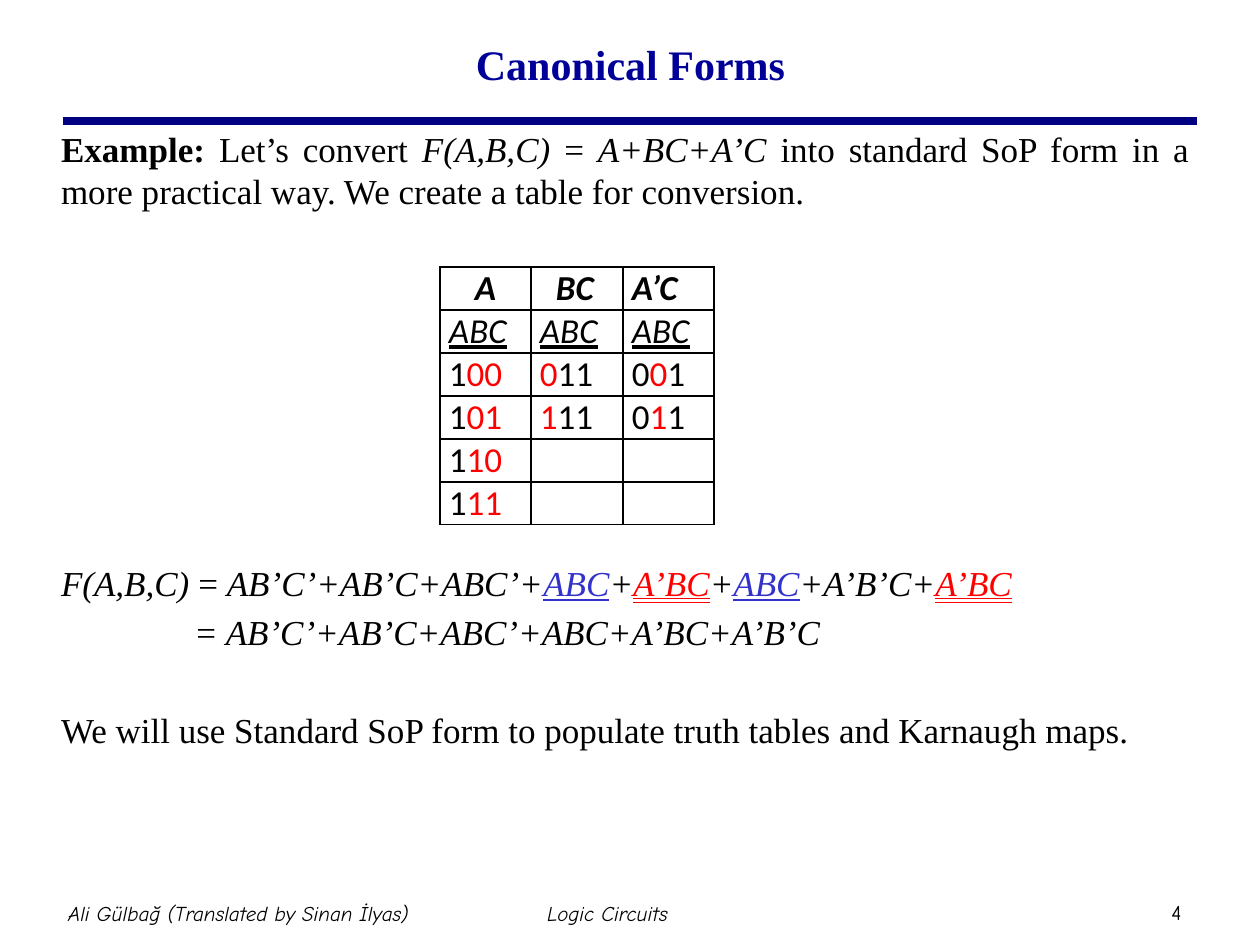
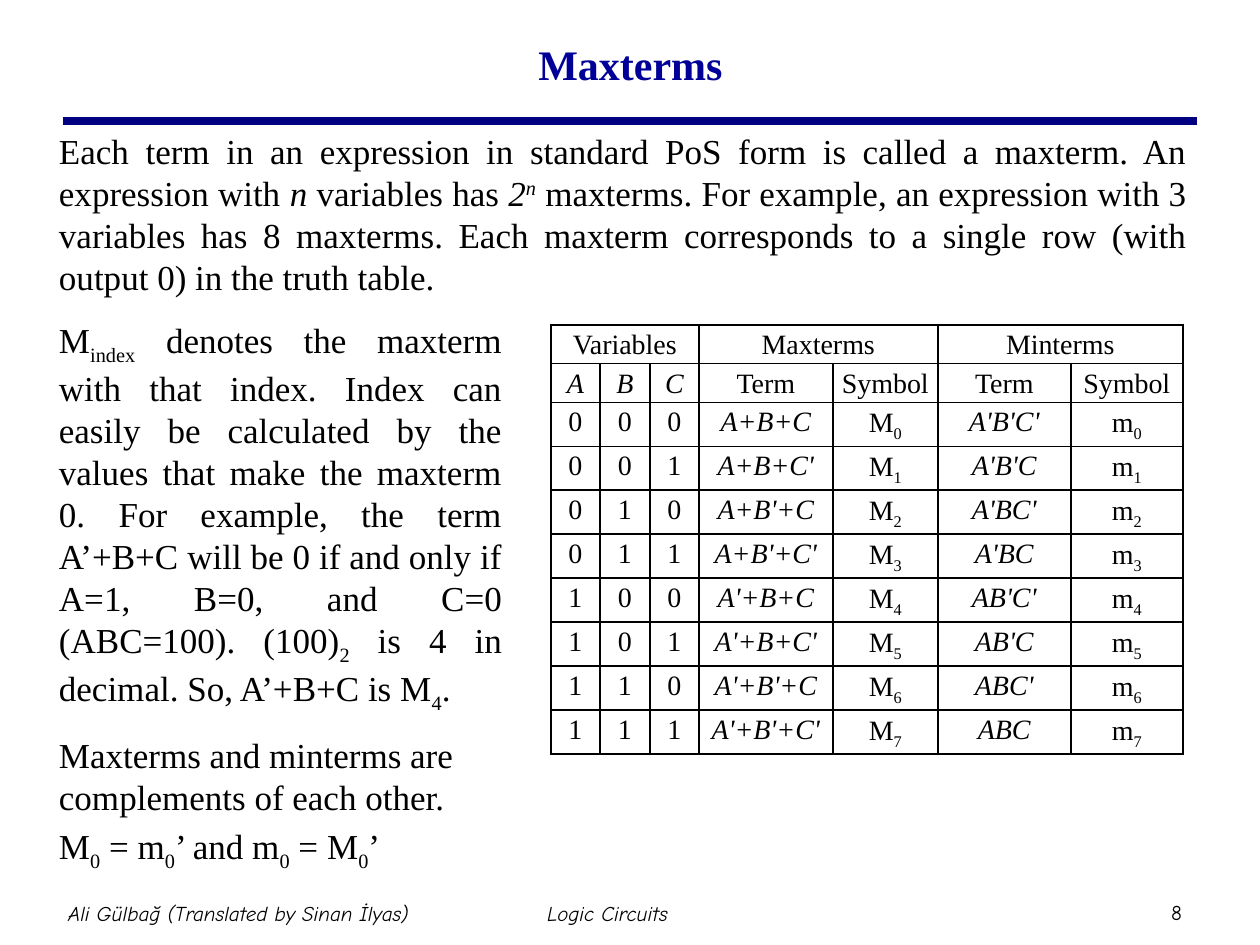
"""Builds two logic circuits slides: a conversion example and the maxterm table."""
from lxml import etree
from pptx import Presentation
from pptx.dml.color import RGBColor
from pptx.enum.shapes import MSO_CONNECTOR
from pptx.enum.text import MSO_ANCHOR, MSO_UNDERLINE, PP_ALIGN
from pptx.oxml.ns import qn
from pptx.util import Pt

EMU_PER_PX = 914400 / 126
LEFT, CENTER, JUSTIFY = PP_ALIGN.LEFT, PP_ALIGN.CENTER, PP_ALIGN.JUSTIFY
MIDDLE, TOP = MSO_ANCHOR.MIDDLE, MSO_ANCHOR.TOP
DOUBLE = MSO_UNDERLINE.DOUBLE_LINE
STRAIGHT = MSO_CONNECTOR.STRAIGHT
COLORS = {"text": "000000", "title": "000099", "rule": "000080",
          "single": "3333CC", "double": "FF0000"}
SERIF, SANS, FOOTER = "Times New Roman", "Calibri", "Comic Neue"
BORDERS = ("a:lnL", "a:lnR", "a:lnT", "a:lnB")


def px(length):
    """Turn pixels into EMU."""
    return round(length * EMU_PER_PX)


def rgb(name):
    """Look up a named colour."""
    return RGBColor.from_string(COLORS[name])


def write(para, spans, font=SERIF, size=20, align=LEFT, before=0, indent=0):
    """Fill a paragraph with (text, style) spans; style words set the format."""
    para.alignment = align
    para.space_before = Pt(before)
    if indent:
        para._p.get_or_add_pPr().set("marL", str(px(indent)))
    for text, style in spans:
        words = style.split()
        span = para.add_run()
        span.text = text
        span.font.name, span.font.size = font, Pt(size)
        span.font.bold, span.font.italic = "bold" in words, "italic" in words
        span.font.underline = DOUBLE if "twice" in words else "under" in words
        color = next((word for word in words if word in COLORS), "text")
        span.font.color.rgb = rgb(color)
        for word, shift in (("sub", "-25000"), ("super", "30000")):
            if word in words:
                span._r.get_or_add_rPr().set("baseline", shift)


def add_text(page, box, paras, anchor=TOP, inset=(13, 6)):
    """Add a text box; each paragraph is (spans, options for write)."""
    frame = page.shapes.add_textbox(*map(px, box)).text_frame
    frame.word_wrap = True
    frame.vertical_anchor = anchor
    frame.margin_left = frame.margin_right = px(inset[0])
    frame.margin_top = frame.margin_bottom = px(inset[1])
    for number, (spans, options) in enumerate(paras):
        para = frame.add_paragraph() if number else frame.paragraphs[0]
        write(para, spans, **options)


def add_grid(page, left, top, widths, heights, inset):
    """Add an unfilled table with thin black borders."""
    box = (left, top, sum(widths), sum(heights))
    table = page.shapes.add_table(len(heights), len(widths), *map(px, box)).table
    table.first_row = table.horz_banding = False
    for column, width in zip(table.columns, widths):
        column.width = px(width)
    for row, height in zip(table.rows, heights):
        row.height = px(height)
    for cell in table.iter_cells():
        cell.margin_left = cell.margin_right = px(inset)
        cell.margin_top = cell.margin_bottom = 0
        props = cell._tc.get_or_add_tcPr()
        for side in BORDERS:
            line = etree.SubElement(props, qn(side), w=str(Pt(1)))
            fill = etree.SubElement(line, qn("a:solidFill"))
            etree.SubElement(fill, qn("a:srgbClr"), val=COLORS["text"])
        cell.fill.background()
    return table


def add_page(deck, title, number):
    """Add a blank page with its title, rule and footers."""
    page = deck.slides.add_slide(deck.slide_layouts[6])
    rule = page.shapes.add_connector(STRAIGHT, px(63), px(121), px(1197), px(121))
    rule.line.color.rgb, rule.line.width = rgb("rule"), Pt(4.5)
    etree.SubElement(rule._element.spPr, qn("a:effectLst"))
    heading = {"size": 24, "align": CENTER}
    add_text(page, (95, 10, 1071, 108), [([(title, "bold title")], heading)], MIDDLE)
    footers = (((13, 882, 451, 63), "Ali Gülbağ (Translated by Sinan İlyas)", "italic"),
               ((382, 882, 451, 63), "Logic Circuits", "italic"),
               ((1147, 893, 59, 38), str(number), ""))
    small = {"font": FOOTER, "size": 12, "align": CENTER}
    for box, text, style in footers:
        add_text(page, box, [([(text, style)], small)], MIDDLE, (6, 6))
    return page


def add_conversion_table(page, left, top):
    """Add the table of terms, with the filled-in bits in red."""
    table = add_grid(page, left, top, [91, 92, 91], [43] * 6, 9)
    headings = (("A", CENTER, 0), ("BC", LEFT, 16), ("A’C", LEFT, 0))
    columns = (("100", "101", "110", "111"), ("011", "111"), ("001", "011"))
    added_bits = ((1, 2), (0,), (1,))
    for col, (heading, align, indent) in enumerate(headings):
        write(table.cell(0, col).text_frame.paragraphs[0], [(heading, "bold italic")],
              SANS, align=align, indent=indent)
        write(table.cell(1, col).text_frame.paragraphs[0], [("ABC", "italic under")], SANS)
        for row, bits in enumerate(columns[col], 2):
            spans = [(bit, "double" if place in added_bits[col] else "")
                     for place, bit in enumerate(bits)]
            write(table.cell(row, col).text_frame.paragraphs[0], spans, SANS)


def add_maxterm_table(page, left, top):
    """Add the table of the eight maxterms and minterms."""
    table = add_grid(page, left, top, [49, 50, 49, 134, 105, 133, 112],
                     [36] * 2 + [41] * 8, 6)
    rows = [[[("Variables", "")], [], [], [("Maxterms", "")], [], [("Minterms", "")], []],
            [[(name, "italic")] for name in "ABC"]
            + [[("Term", "")], [("Symbol", "")]] * 2]
    for index in range(8):
        bits = f"{index:03b}"
        maxterm = "+".join(name + "'" * (bit == "1") for name, bit in zip("ABC", bits))
        minterm = "".join(name + "'" * (bit == "0") for name, bit in zip("ABC", bits))
        rows.append([[(bit, "")] for bit in bits]
                    + [[(maxterm, "italic")], [("M", ""), (str(index), "sub")],
                       [(minterm, "italic")], [("m", ""), (str(index), "sub")]])
    for first, last in ((0, 2), (3, 4), (5, 6)):
        table.cell(0, first).merge(table.cell(0, last))
    for row, cells in enumerate(rows):
        for col, spans in enumerate(cells):
            if spans:
                para = table.cell(row, col).text_frame.paragraphs[0]
                para.line_spacing = 1.15
                write(para, spans, size=16, align=CENTER, before=6)


def build_canonical_forms(deck):
    """Build the page that converts an expression to standard SoP form."""
    page = add_page(deck, "Canonical Forms", 4)
    example = [("Example: ", "bold"), ("Let’s convert ", ""), ("F(A,B,C) ", "italic"),
               ("= ", ""), ("A+BC+A’C ", "italic"),
               ("into standard SoP form in a more practical way. "
                "We create a table for conversion.", "")]
    single, double = ("ABC", "italic under single"), ("A’BC", "italic twice double")
    plus = ("+", "italic")
    expansion = [("F(A,B,C) ", "italic"), ("= ", ""), ("AB’C’+AB’C+ABC’+", "italic"),
                 single, plus, double, plus, single, ("+A’B’C+", "italic"), double]
    result = [("= AB’C’+AB’C+ABC’+ABC+A’BC+A’B’C", "italic")]
    note = [("We will use Standard SoP form to populate truth tables "
             "and Karnaugh maps.", "")]
    add_text(page, (48, 121, 1154, 699),
             [(example, {"align": JUSTIFY, "before": 4}), (expansion, {"before": 200}),
              (result, {"before": 4, "indent": 133}),
              (note, {"align": JUSTIFY, "before": 32})])
    add_conversion_table(page, 440, 267)


def build_maxterms(deck):
    """Build the page that defines maxterms and their indices."""
    page = add_page(deck, "Maxterms", 8)
    definition = [("Each term in an expression in standard PoS form is called a maxterm. "
                   "An expression with ", ""), ("n", "italic"), (" variables has ", ""),
                  ("2", "italic"), ("n", "italic super"),
                  (" maxterms. For example, an expression with 3 variables has 8 maxterms. "
                   "Each maxterm corresponds to a single row (with output 0) "
                   "in the truth table.", "")]
    index = [("M", ""), ("index", "sub"),
             (" denotes the maxterm with that index. Index can easily be calculated by the "
              "values that make the maxterm 0. For example, the term A’+B+C will be 0 if and "
              "only if A=1, B=0, and C=0 (ABC=100). (100)", ""), ("2", "sub"),
             (" is 4 in decimal. So, A’+B+C is M", ""), ("4", "sub"), (".", "")]
    complements = [("Maxterms and minterms are complements of each other.", "")]
    zero = ("0", "sub")
    equations = [("M", ""), zero, (" = m", ""), zero, ("’ and m", ""), zero,
                 (" = M", ""), zero, ("’", "")]
    justified = {"align": JUSTIFY, "before": 4}
    add_text(page, (46, 123, 1154, 194), [(definition, justified)])
    add_maxterm_table(page, 551, 325)
    add_text(page, (46, 313, 469, 556),
             [(index, justified), (complements, {"before": 11}), (equations, {"before": 4})])


def main():
    """Build and save the deck."""
    deck = Presentation()
    deck.slide_width, deck.slide_height = px(1260), px(945)
    build_canonical_forms(deck)
    build_maxterms(deck)
    deck.save("out.pptx")


if __name__ == "__main__":
    main()
